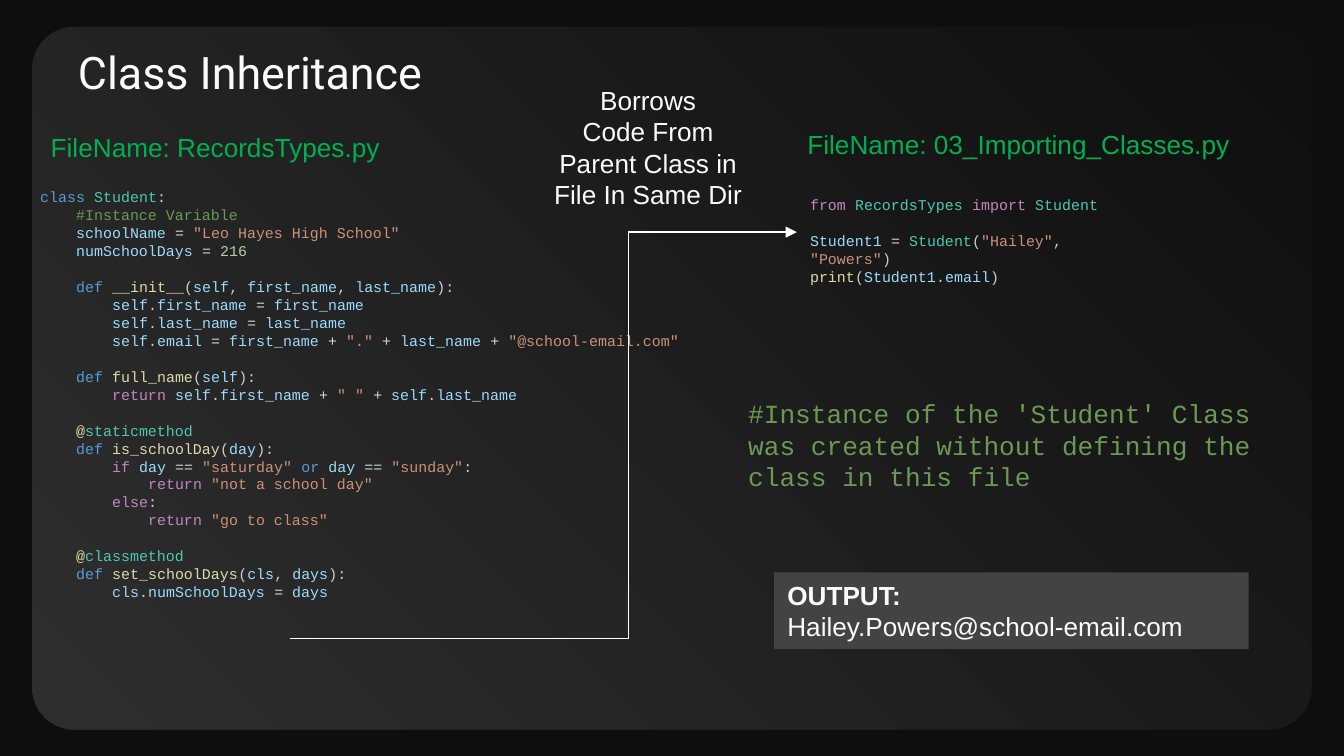
from lxml import etree
from pptx import Presentation
from pptx.dml.color import RGBColor
from pptx.enum.shapes import MSO_CONNECTOR, MSO_SHAPE
from pptx.enum.text import MSO_ANCHOR, PP_ALIGN
from pptx.oxml.ns import qn
from pptx.util import Cm, Pt

WHITE = "FAFAFA"
GREEN = "00B050"
CODE_SIZE = 8
LINE_RATIO = 1.2
INDENT = Cm(0.68)

# The first letter of each code piece picks its colour
SYNTAX = {
    "k": "569CD6",  # keyword
    "c": "C586C0",  # control flow
    "t": "4EC9B0",  # type
    "f": "DCDCAA",  # function
    "v": "9CDCFE",  # variable
    "s": "CE9178",  # string
    "n": "B5CEA8",  # number
    "o": "D4D4D4",  # operator
    "p": "CCCCCC",  # punctuation
    "#": "6A9955",  # comment
}

# Indent level, gap above in lines, coloured pieces
CLASS_CODE = [
    (0, 0, "kclass |tStudent|p:"),
    (1, 0, "##Instance Variable"),
    (1, 0, 'vschoolName |o= |s"Leo Hayes High School"'),
    (1, 0, "vnumSchoolDays |o= |n216"),
    (1, 1, "kdef |f__init__|p(|vself|p, |vfirst_name|p, |vlast_name|p):"),
    (2, 0, "vself|p.|vfirst_name |o= |vfirst_name"),
    (2, 0, "vself|p.|vlast_name |o= |vlast_name"),
    (2, 0, 'vself|p.|vemail |o= |vfirst_name |o+ |s"." |o+ |vlast_name |o+ |s"@school-email.com"'),
    (1, 1, "kdef |ffull_name|p(|vself|p):"),
    (2, 0, 'creturn |vself|p.|vfirst_name |o+ |s" " |o+ |vself|p.|vlast_name'),
    (1, 1, "f@|tstaticmethod"),
    (1, 0, "kdef |fis_schoolDay|p(|vday|p):"),
    (2, 0, 'cif |vday |o== |s"saturday" |kor |vday |o== |s"sunday"|p:'),
    (3, 0, 'creturn |s"not a school day"'),
    (2, 0, "celse|p:"),
    (3, 0, 'creturn |s"go to class"'),
    (1, 1, "f@|tclassmethod"),
    (1, 0, "kdef |fset_schoolDays|p(|vcls|p, |vdays|p):"),
    (2, 0, "vcls|p.|vnumSchoolDays |o= |vdays"),
]
IMPORT_CODE = [
    (0, 0, "cfrom |tRecordsTypes |cimport |tStudent"),
    (0, 1, 'vStudent1 |o= |tStudent|p(|s"Hailey"|p, |s"Powers"|p)'),
    (0, 0, "fprint|p(|vStudent1|p.|vemail|p)"),
]


def color(hex_code):
    return RGBColor.from_string(hex_code)


def write(para, text, size=14, font="Arial", fill=WHITE, bold=False):
    para.line_spacing = Pt(size * LINE_RATIO)
    span = para.add_run()
    span.text = text
    span.font.size = Pt(size)
    span.font.name = font
    span.font.bold = bold
    span.font.color.rgb = color(fill)


deck = Presentation()
deck.slide_width, deck.slide_height = Cm(25.4), Cm(14.29)
page = deck.slides.add_slide(deck.slide_layouts[5])
page.background.fill.solid()
page.background.fill.fore_color.rgb = color("0E0E0E")

# Title
title = page.shapes.title
title.left, title.top, title.width, title.height = Cm(1.22), Cm(0.56), Cm(21.41), Cm(1.6)
title.text_frame.vertical_anchor = MSO_ANCHOR.MIDDLE
title.text_frame.paragraphs[0].alignment = PP_ALIGN.LEFT
write(title.text_frame.paragraphs[0], "Class Inheritance", size=24, font="Roboto")

# Rounded panel behind everything
panel = page.shapes.add_shape(MSO_SHAPE.ROUNDED_RECTANGLE, Cm(0.61), Cm(0.51), Cm(24.18), Cm(13.28))
panel.adjustments[0] = 0.06
panel.shadow.inherit = False
panel.line.fill.background()
panel.fill.gradient()
panel.fill.gradient_angle = 225
for stop, shade in zip(panel.fill.gradient_stops, ["0F0F0F", "2E2E2E"]):
    stop.color.rgb = color(shade)
title.element.addprevious(panel.element)

# Code listings
for left, top, width, height, code in [
    (0.51, 3.43, 12.98, 8.13, CLASS_CODE),
    (15.06, 3.58, 6.43, 1.63, IMPORT_CODE),
]:
    box = page.shapes.add_textbox(Cm(left), Cm(top), Cm(width), Cm(height))
    frame = box.text_frame
    frame.word_wrap = True
    for index, (level, gap, pieces) in enumerate(code):
        para = frame.add_paragraph() if index else frame.paragraphs[0]
        para.space_before = Pt(gap * CODE_SIZE * LINE_RATIO)
        for piece in pieces.split("|"):
            write(para, piece[1:], size=CODE_SIZE, font="Courier New", fill=SYNTAX[piece[0]])
        para._p.get_or_add_pPr().set("marL", str(level * INDENT))

# Elbow arrow from the class to the import
arrow = page.shapes.add_connector(MSO_CONNECTOR.ELBOW, Cm(5.49), Cm(12.07), Cm(15.06), Cm(4.39))
arrow.line.color.rgb = color("FFFFFF")
arrow.line.width = Pt(0.75)
etree.SubElement(arrow.line._get_or_add_ln(), qn("a:tailEnd"), type="triangle")
properties = arrow.element.spPr
etree.SubElement(properties, qn("a:effectLst"))
bends = properties.find(qn("a:prstGeom")).get_or_add_avLst()
etree.SubElement(bends, qn("a:gd"), name="adj1", fmla="val 66800")

# Output panel
output = page.shapes.add_shape(MSO_SHAPE.RECTANGLE, Cm(14.63), Cm(10.82), Cm(8.97), Cm(1.45))
output.shadow.inherit = False
output.fill.solid()
output.fill.fore_color.rgb = color("434343")
output.line.fill.background()
output.text_frame.word_wrap = True
output.text_frame.vertical_anchor = MSO_ANCHOR.TOP
heading = output.text_frame.paragraphs[0]
write(heading, "OUTPUT:", bold=True)
result = output.text_frame.add_paragraph()
write(result, "Hailey.Powers@school-email.com")
heading.alignment = result.alignment = PP_ALIGN.LEFT

# File names, explanation and comment
for left, top, width, height, lines, align, style in [
    (0.71, 2.36, 6.93, 0.86, ["FileName: RecordsTypes.py"], PP_ALIGN.LEFT, {"fill": GREEN}),
    (15.01, 2.31, 8.53, 0.86, ["FileName: 03_Importing_Classes.py"], PP_ALIGN.LEFT, {"fill": GREEN}),
    (10.1, 1.47, 4.3, 2.64,
     ["Borrows", "Code From", "Parent Class in", "File In Same Dir"], PP_ALIGN.CENTER, {}),
    (13.89, 7.39, 10.77, 3.25,
     ["#Instance of the 'Student' Class was created without defining the class in this file"],
     PP_ALIGN.LEFT, {"font": "Courier New", "fill": SYNTAX["#"]}),
]:
    box = page.shapes.add_textbox(Cm(left), Cm(top), Cm(width), Cm(height))
    frame = box.text_frame
    frame.word_wrap = True
    for index, line in enumerate(lines):
        para = frame.add_paragraph() if index else frame.paragraphs[0]
        para.alignment = align
        write(para, line, **style)

deck.save("out.pptx")
